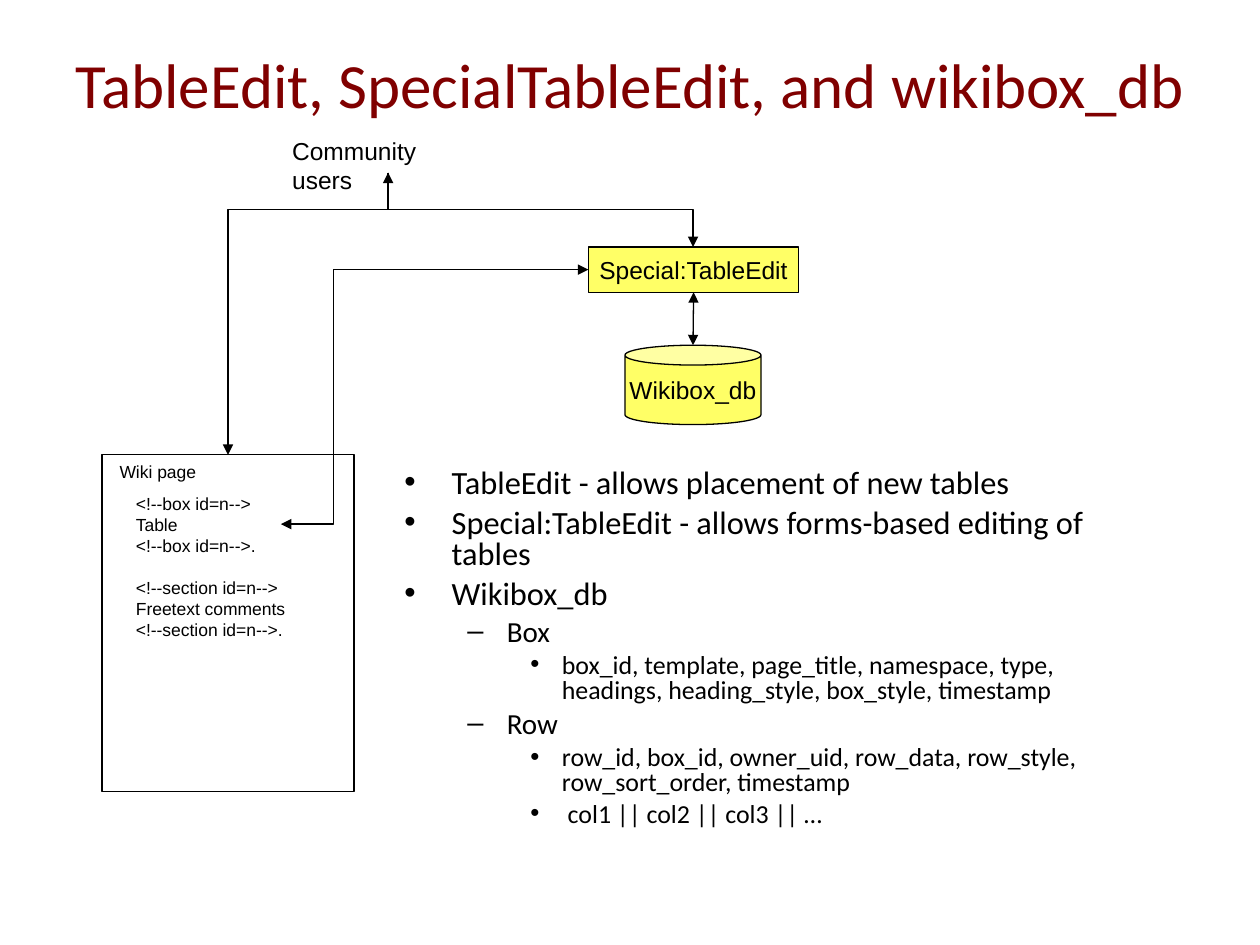
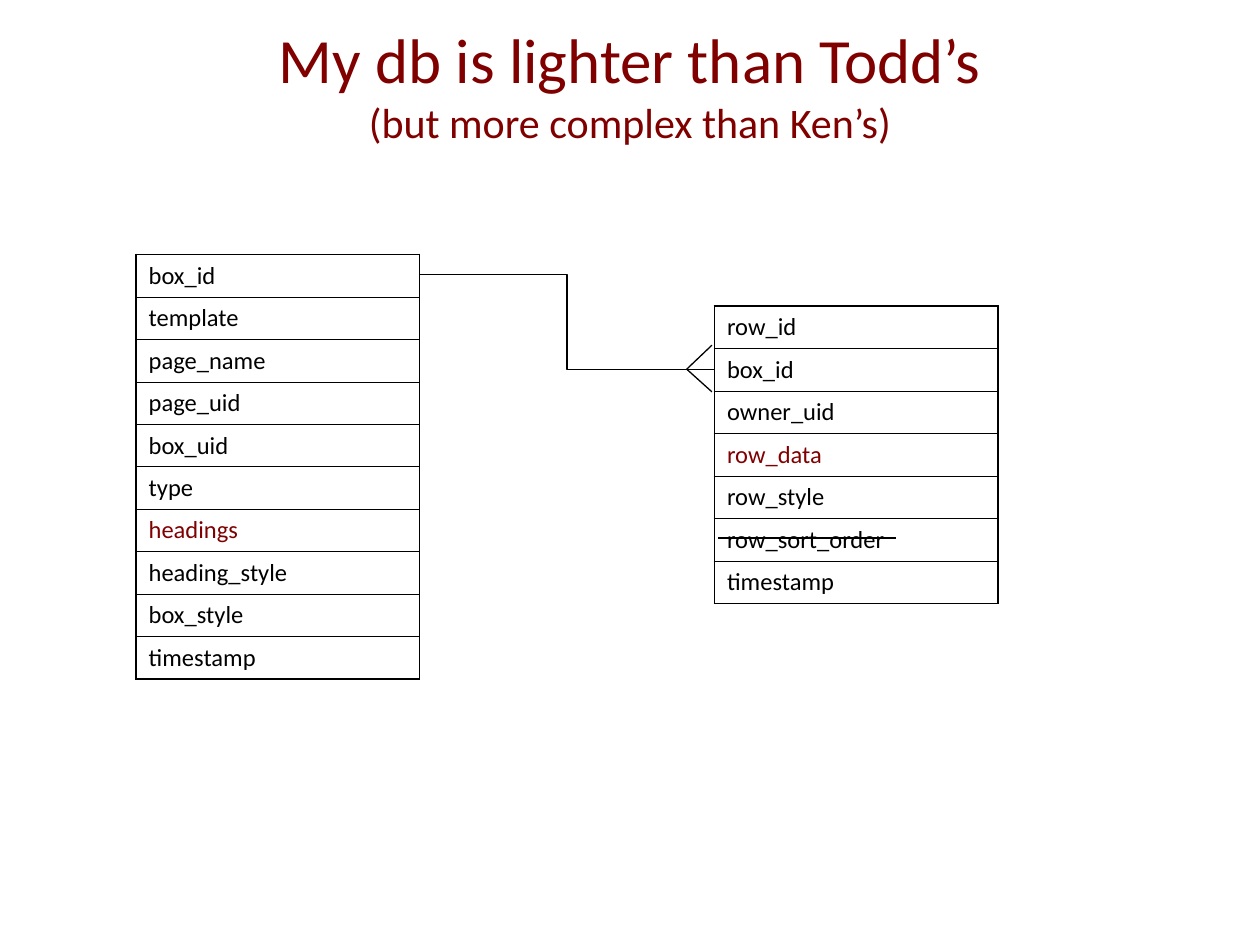
"""Build two slides on the wiki table editor and its database."""
from pptx import Presentation
from pptx.dml.color import RGBColor
from pptx.enum.shapes import MSO_CONNECTOR as Link, MSO_SHAPE as Form
from pptx.enum.text import MSO_ANCHOR as Anchor, MSO_AUTO_SIZE as Fit, PP_ALIGN as Align
from pptx.oxml.ns import qn
from pptx.util import Inches, Pt
from lxml.etree import SubElement as Sub

BLACK = RGBColor(0x00, 0x00, 0x00)
WHITE = RGBColor(0xFF, 0xFF, 0xFF)
MAROON = RGBColor(0x80, 0x00, 0x00)
YELLOW = RGBColor(0xFF, 0xFF, 0x66)
SANS, HEAD = "Arial", "Calibri"
THIN, INNER, OUTER = 0.75, 0.45, 1.08
ROW, WIDE = 0.33, 2.25
LEVELS = ((18.5, 5), (16.6, 4.5), (14.8, 4))

ITEMS = (
    (0, "TableEdit - allows placement of new tables"),
    (0, "Special:TableEdit - allows forms-based editing of tables"),
    (0, "Wikibox_db"),
    (1, "Box"),
    (2, "box_id, template, page_title, namespace, type, headings, "
        "heading_style, box_style, timestamp"),
    (1, "Row"),
    (2, "row_id, box_id, owner_uid, row_data, row_style, row_sort_order, timestamp"),
    (2, " col1 || col2 || col3 || …"),
)
BOX = ("box_id", "template", "page_name", "page_uid", "box_uid", "type",
       "headings", "heading_style", "box_style", "timestamp")
ENTRY = ("row_id", "box_id", "owner_uid", "row_data", "row_style",
         "row_sort_order", "timestamp")
MARKED = ("headings", "row_data")


class Deck:
    """Hold the shared style and the current slide."""

    def __init__(self):
        self.show = Presentation()
        self.show.slide_width, self.show.slide_height = Inches(10), Inches(7.5)
        self.slide = None

    def place(self, shape, *spot):
        shape.left, shape.top, shape.width, shape.height = map(Inches, spot)

    def font(self, para, size, name=SANS, color=BLACK):
        para.font.size, para.font.name = Pt(size), name
        para.font.color.rgb = color

    def page(self, layout, title, small=None):
        self.slide = self.show.slides.add_slide(self.show.slide_layouts[layout])
        head = self.slide.shapes.title
        self.place(head, 0, 0.25, 10, 0.83)
        frame = head.text_frame
        frame.auto_size, frame.vertical_anchor = Fit.NONE, Anchor.MIDDLE
        para = frame.paragraphs[0]
        para.alignment = Align.CENTER
        self.font(para, 36, HEAD, MAROON)
        para.add_run().text = title
        if small:
            para.add_line_break()
            run = para.add_run()
            run.text = small
            run.font.size = Pt(24)

    def list(self, items, *spot):
        body = self.slide.placeholders[1]
        self.place(body, *spot)
        frame = body.text_frame
        frame.auto_size = Fit.NONE
        frame.text = "\n".join(text for _, text in items)
        for i, (para, (level, _)) in enumerate(zip(frame.paragraphs, items)):
            size, gap = LEVELS[level]
            para.level, para.line_spacing = level, 0.8
            para.space_before = Pt(gap if i else 0)
            self.font(para, size, HEAD)

    def label(self, text, size, *spot, wrap=False):
        frame = self.slide.shapes.add_textbox(*map(Inches, spot)).text_frame
        frame.word_wrap, frame.auto_size = wrap, Fit.SHAPE_TO_FIT_TEXT
        frame.text = text
        for para in frame.paragraphs:
            self.font(para, size)

    def block(self, form, fill, *spot, text=None):
        shape = self.slide.shapes.add_shape(form, *map(Inches, spot))
        shape.shadow.inherit = False
        shape.fill.solid()
        shape.fill.fore_color.rgb = fill
        shape.line.color.rgb, shape.line.width = BLACK, Pt(THIN)
        if text:
            frame = shape.text_frame
            frame.word_wrap, frame.vertical_anchor = False, Anchor.MIDDLE
            frame.text = text
            para = frame.paragraphs[0]
            para.alignment = Align.CENTER
            self.font(para, 14)
        return shape

    def line(self, start, end, kind=Link.STRAIGHT, tips=()):
        link = self.slide.shapes.add_connector(kind, *map(Inches, (*start, *end)))
        link.line.color.rgb, link.line.width = BLACK, Pt(THIN)
        for tip in tips:
            Sub(link.line._get_or_add_ln(), qn(f"a:{tip}End"), type="triangle")
        Sub(link._element.spPr, qn("a:effectLst"))
        return link

    def bend(self, start, end, ratio=0.5, tips=()):
        link = self.line(start, end, Link.ELBOW, tips)
        guides = link._element.spPr.find(qn("a:prstGeom")).get_or_add_avLst()
        Sub(guides, qn("a:gd"), name="adj1", fmla=f"val {round(ratio * 100000)}")
        return link

    def drop(self, start, end, ratio=0.5, tips=()):
        (x1, y1), (x2, y2) = start, end
        mid_x, mid_y = (x1 + x2) / 2, (y1 + y2) / 2
        side = 1 if x2 < x1 else -1
        dx, dy = side * (y2 - y1) / 2, abs(x2 - x1) / 2
        link = self.bend((mid_x - dx, mid_y - dy), (mid_x + dx, mid_y + dy), ratio, tips)
        turn = 90 if side > 0 else 270
        link._element.spPr.find(qn("a:xfrm")).set("rot", str(turn * 60000))

    def border(self, cell, first, last):
        props = cell._tc.get_or_add_tcPr()
        widths = {"L": OUTER, "R": OUTER, "T": OUTER if first else INNER,
                  "B": OUTER if last else INNER}
        for side, width in widths.items():
            edge = Sub(props, qn(f"a:ln{side}"), w=str(Pt(width)))
            Sub(Sub(edge, qn("a:solidFill")), qn("a:srgbClr"), val=str(BLACK))

    def table(self, names, left, top):
        count = len(names)
        grid = self.slide.shapes.add_table(
            count, 1, *map(Inches, (left, top, WIDE, ROW * count))).table
        grid.first_row = grid.horz_banding = False
        for i, name in enumerate(names):
            grid.rows[i].height = Inches(ROW)
            cell = grid.cell(i, 0)
            self.border(cell, i == 0, i == count - 1)
            cell.fill.background()
            cell.vertical_anchor = Anchor.MIDDLE
            cell.text = name
            self.font(cell.text_frame.paragraphs[0], 14, HEAD,
                      MAROON if name in MARKED else BLACK)


def flow(deck):
    deck.page(1, "TableEdit, SpecialTableEdit, and wikibox_db")
    deck.label("Community users", 14, 2.22, 1.03, 1.71, 0.34)
    deck.block(Form.RECTANGLE, WHITE, 0.81, 3.61, 2, 2.67)
    deck.label("Wiki page", 10, 0.85, 3.61, 0.81, 0.27)
    deck.label("<!--box id=n-->\nTable\n<!--box id=n-->.", 10,
               0.98, 3.86, 1.25, 0.6, wrap=True)
    deck.label("<!--section id=n-->\nFreetext comments\n<!--section id=n-->.", 10,
               0.98, 4.53, 1.58, 0.6, wrap=True)
    edit = deck.block(Form.RECTANGLE, YELLOW, 4.67, 1.96, 1.67, 0.36,
                      text="Special:TableEdit")
    deck.block(Form.CAN, YELLOW, 4.96, 2.74, 1.08, 0.63, text="Wikibox_db")
    both = ("head", "tail")
    users = (3.08, 1.37)
    deck.line((5.5, 2.74), (5.5, 2.32), tips=both).end_connect(edit, 2)
    deck.drop(users, (1.81, 3.61), 0.13, ("tail",))
    deck.drop(users, (5.5, 1.96), tips=both)
    deck.bend((2.23, 4.16), (4.67, 2.14), 0.17, both)
    deck.list(ITEMS, 3.11, 3.68, 6.14, 3.5)


def schema(deck):
    deck.page(5, "My db is lighter than Todd’s", "(but more complex than Ken’s)")
    deck.table(BOX, 1.08, 2.02)
    deck.bend((3.33, 2.18), (5.67, 2.93))
    deck.line((5.7, 4.27), (7.11, 4.27))
    for y in (2.74, 3.11):
        deck.line((5.45, 2.93), (5.65, y))
    deck.table(ENTRY, 5.67, 2.43)


def main():
    deck = Deck()
    flow(deck)
    schema(deck)
    deck.show.save("out.pptx")


if __name__ == "__main__":
    main()
